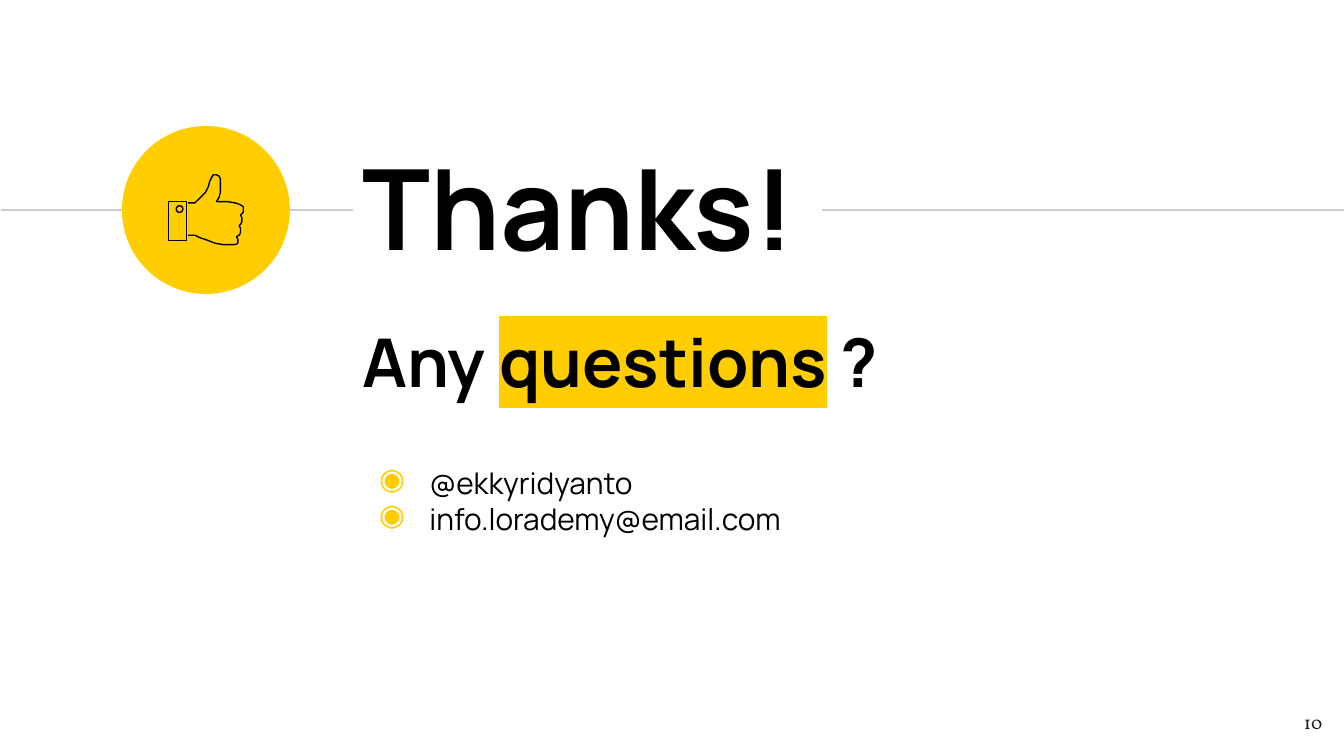
from dataclasses import dataclass
from typing import NamedTuple

from lxml.etree import SubElement
from pptx import Presentation
from pptx.dml.color import RGBColor as RGB
from pptx.enum.shapes import MSO_CONNECTOR as LINK, MSO_SHAPE as FORM
from pptx.enum.text import MSO_ANCHOR as ANCHOR, PP_ALIGN as ALIGN
from pptx.oxml.ns import qn
from pptx.util import Pt


@dataclass(frozen=True)
class Theme:
    gold: str = "FFCD00"
    ink: str = "000000"
    rule: str = "CCCCCC"
    soft: str = "1D1D1B"
    font: str = "Manrope"
    serif: str = "Vollkorn"
    head: float = 60
    ask: float = 36
    item: float = 16
    page: float = 10
    line: float = 0.75


class Box(NamedTuple):
    left: float
    top: float
    wide: float
    high: float


class Style(NamedTuple):
    size: float
    font: str
    color: str
    bold: bool = False


T = Theme()
HEAD = Style(T.head, T.font, T.ink, True)
ASK = Style(T.ask, T.font, T.ink, True)
ITEM = Style(T.item, T.font, T.ink)
PAGE = Style(T.page, T.serif, T.soft)

MID = 112.5
RULES = [(0.5, 189), (440.3, 720)]
DISC = Box(65.3, MID - 45, 90, 90)
CUFF = Box(90.4, 108, 9.5, 21)
STUD = Box(94.4, 110.2, 3.6, 3.6)
UNIT = 0.72
HAND = [
    (140, 175), (145, 175), (149, 177), (155, 179), (160, 181), (166, 182),
    (171, 182), (175, 182), (177, 181), (177, 178), (176, 176), (178, 175),
    (179, 173), (179, 170), (178, 168), (179, 167), (180, 165), (180, 162),
    (179, 160), (180, 159), (181, 158), (181, 154), (180, 153), (178, 152),
    (175, 151), (169, 150), (161, 150), (163, 147), (164, 143), (164, 133),
    (163, 131), (161, 130), (159, 130), (158, 131), (156, 135), (155, 139),
    (153, 143), (151, 145), (148, 148), (145, 151), (140, 151),
]
ITEMS = ["@ekkyridyanto", "info.lorademy@email.com"]


def place(box: Box) -> list:
    return [Pt(v) for v in box]


def style(run, look: Style) -> None:
    font = run.font
    font.size = Pt(look.size)
    font.name = look.font
    font.bold = look.bold
    font.color.rgb = RGB.from_string(look.color)


def tint(node, color: str) -> None:
    SubElement(node, qn("a:srgbClr")).set("val", color)


def mark(run, color: str) -> None:
    props = run.font._element
    glow = SubElement(props, qn("a:highlight"))
    tint(glow, color)
    props.find(qn("a:solidFill")).addnext(glow)


def bullet(para) -> None:
    props = para._p.get_or_add_pPr()
    props.set("marL", str(Pt(36)))
    props.set("indent", str(Pt(-27)))
    tint(SubElement(props, qn("a:buClr")), T.gold)
    SubElement(props, qn("a:buChar")).set("char", "◉")


def frame(slide, box: Box, text: str = ""):
    body = slide.shapes.add_textbox(*place(box)).text_frame
    body.word_wrap = True
    body.margin_left = body.margin_right = Pt(7.2)
    body.margin_top = body.margin_bottom = Pt(7.2)
    body.text = text
    return body


def rule(slide, start: float, end: float) -> None:
    line = slide.shapes.add_connector(LINK.STRAIGHT, Pt(start), Pt(MID), Pt(end), Pt(MID))
    line.line.color.rgb = RGB.from_string(T.rule)
    line.line.width = Pt(T.line)
    SubElement(line._element.spPr, qn("a:effectLst"))


def trace(shape) -> None:
    shape.shadow.inherit = False
    shape.fill.background()
    shape.line.color.rgb = RGB.from_string(T.ink)
    shape.line.width = Pt(T.line)


def thumb(slide) -> None:
    disc = slide.shapes.add_shape(FORM.OVAL, *place(DISC))
    disc.shadow.inherit = False
    disc.fill.solid()
    disc.fill.fore_color.rgb = RGB.from_string(T.gold)
    disc.line.fill.background()
    for form, box in ((FORM.RECTANGLE, CUFF), (FORM.OVAL, STUD)):
        trace(slide.shapes.add_shape(form, *place(box)))
    pen = slide.shapes.build_freeform(*HAND[0], scale=Pt(UNIT))
    pen.add_line_segments(HAND[1:], close=False)
    trace(pen.convert_to_shape())


def title(slide) -> None:
    body = frame(slide, Box(187, 64.5, 386.5, 91.5), "Thanks!")
    body.vertical_anchor = ANCHOR.MIDDLE
    style(body.paragraphs[0].runs[0], HEAD)


def body(slide) -> None:
    text = frame(slide, Box(187, 164.5, 395.5, 62))
    ask = text.paragraphs[0]
    for part in ("Any ", "questions", " ?"):
        run = ask.add_run()
        run.text = part
        style(run, ASK)
    mark(ask.runs[1], T.gold)
    ask.space_before = Pt(6)
    for item, gap in zip(ITEMS, (34, 0)):
        para = text.add_paragraph()
        para.text = item
        para.space_before = Pt(gap)
        bullet(para)
        style(para.runs[0], ITEM)


def number(slide) -> None:
    para = frame(slide, Box(672.5, 375, 43, 31), "10").paragraphs[0]
    para.alignment = ALIGN.RIGHT
    style(para.runs[0], PAGE)


def main() -> None:
    deck = Presentation()
    deck.slide_width, deck.slide_height = Pt(720), Pt(405)
    slide = deck.slides.add_slide(deck.slide_layouts[6])
    body(slide)
    for start, end in RULES:
        rule(slide, start, end)
    title(slide)
    thumb(slide)
    number(slide)
    deck.save("out.pptx")


if __name__ == "__main__":
    main()
